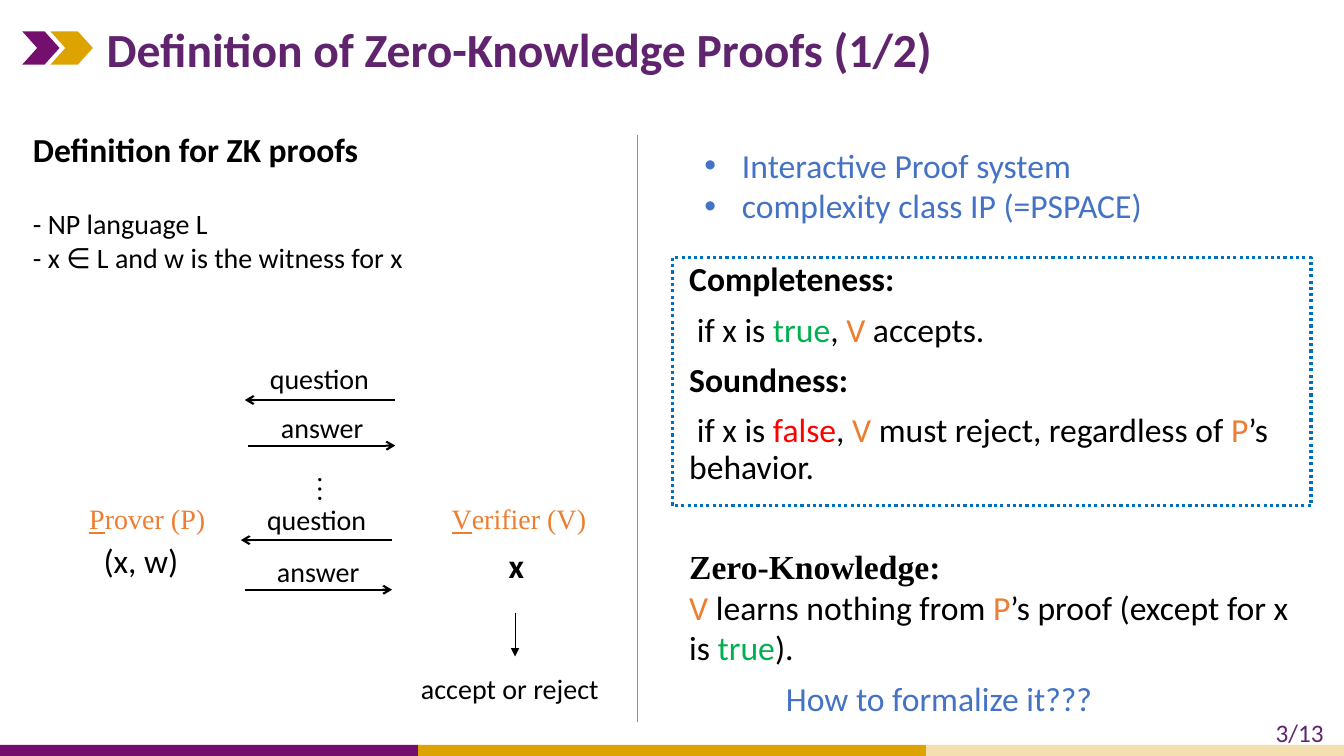
from lxml.etree import SubElement
from pptx import Presentation
from pptx.dml.color import RGBColor
from pptx.enum.dml import MSO_LINE
from pptx.enum.shapes import MSO_CONNECTOR, MSO_SHAPE
from pptx.enum.text import MSO_ANCHOR, PP_ALIGN
from pptx.oxml.ns import qn
from pptx.util import Cm, Pt

COLORS = {
    "purple": "750F6D", "gold": "DDA300", "cream": "F4DFB0",
    "heading": "5F246D", "black": "000000", "orange": "ED7D31",
    "green": "00B050", "red": "FF0000", "blue": "4472C4",
    "frame": "0070C0", "divider": "5B9BD5",
}
SANS, SERIF = "Calibri", "Times New Roman"


class SlideBuilder:
    """Draw styled elements on the current slide, with lengths in centimetres."""

    def __init__(self, page):
        self.page = page

    def color(self, name):
        return RGBColor.from_string(COLORS[name])

    def style(self, span, size=20, color="black", font=SANS, bold=False, underline=False):
        span.font.size = Pt(size)
        span.font.name = font
        span.font.bold = bold
        span.font.underline = underline
        span.font.color.rgb = self.color(color)

    def box(self, left, top, width, height, wrap=True):
        box = self.page.shapes.add_textbox(Cm(left), Cm(top), Cm(width), Cm(height))
        box.text_frame.word_wrap = wrap
        return box.text_frame

    def text(self, place, text, align=PP_ALIGN.LEFT, wrap=True, **style):
        frame = self.box(*place, wrap=wrap)
        frame.text = text
        for paragraph in frame.paragraphs:
            paragraph.alignment = align
            for span in paragraph.runs:
                self.style(span, **style)
        return frame

    def rich_text(self, place, lines, spacing=None, before=0, **style):
        frame = self.box(*place)
        for index, line in enumerate(lines):
            paragraph = frame.add_paragraph() if index else frame.paragraphs[0]
            paragraph.line_spacing = spacing
            paragraph.space_before = Pt(before if index else 0)
            for words, changes in line:
                span = paragraph.add_run()
                span.text = words
                self.style(span, **{**style, **changes})

    def bullets(self, place, text, indent, **style):
        frame = self.text(place, text, **style)
        for paragraph in frame.paragraphs:
            properties = paragraph._p.get_or_add_pPr()
            properties.set("marL", str(Cm(indent)))
            properties.set("indent", str(-Cm(indent)))
            SubElement(properties, qn("a:buFont")).set("typeface", "Arial")
            SubElement(properties, qn("a:buChar")).set("char", "•")

    def shape(self, kind, left, top, width, height, fill):
        shape = self.page.shapes.add_shape(kind, Cm(left), Cm(top), Cm(width), Cm(height))
        shape.shadow.inherit = False
        shape.line.fill.background()
        if fill:
            shape.fill.solid()
            shape.fill.fore_color.rgb = self.color(fill)
        else:
            shape.fill.background()
        return shape

    def frame(self, left, top, width, height, color):
        shape = self.shape(MSO_SHAPE.RECTANGLE, left, top, width, height, None)
        shape.line.color.rgb = self.color(color)
        shape.line.width = Pt(2.25)
        shape.line.dash_style = MSO_LINE.ROUND_DOT

    def line(self, start, end, width, color="black", arrow=None):
        line = self.page.shapes.add_connector(
            MSO_CONNECTOR.STRAIGHT, *(Cm(value) for value in start + end))
        line.line.color.rgb = self.color(color)
        line.line.width = Pt(width)
        if arrow:
            SubElement(line.line._get_or_add_ln(), qn("a:tailEnd")).set("type", arrow)
        SubElement(line._element.spPr, qn("a:effectLst"))


def add_decoration(slide):
    left = 0
    for width, fill in ((10.54, "purple"), (12.8, "gold"), (10.53, "cream")):
        slide.shape(MSO_SHAPE.RECTANGLE, left, 18.77, width, 0.28, fill)
        left += width
    for left, width, fill in ((0.56, 0.94, "purple"), (1.27, 1.07, "gold")):
        chevron = slide.shape(MSO_SHAPE.CHEVRON, left, 0.79, width, 0.84, fill)
        chevron.adjustments[0] = 0.45
    slide.text((31.9, 17.96, 1.95, 1.02), "3/13", size=18, color="heading")
    title = slide.text((2.44, 0.3, 28.47, 1.85), "Definition of Zero-Knowledge Proofs (1/2)",
                       size=34, color="heading", bold=True)
    title.vertical_anchor = MSO_ANCHOR.MIDDLE
    slide.line((16.05, 3.4), (16.05, 18.19), 0.5, "divider")


def add_protocol(slide):
    slide.text((0.58, 3.12, 15.21, 1.27), "Definition for ZK proofs", size=24, bold=True)
    slide.text((0.58, 5.08, 15.21, 1.96),
               "- NP language L\n- x ∈ L and w is the witness for x")
    for left, initial, rest in ((2, "P", "rover (P)"), (11.13, "V", "erifier (V)")):
        slide.rich_text((left, 12.52, 5, 1.12), [[(initial, {"underline": True}), (rest, {})]],
                        font=SERIF, color="orange")
    slide.text((2.36, 13.49, 3.15, 1.27), "(x, w)", size=24)
    slide.text((12.57, 13.61, 0.91, 1.27), "x", size=24, bold=True)

    messages = (
        ("question", 6.55, 8.99, 9.96, 6.17, 10.08),
        ("answer", 6.83, 10.21, 6.25, 9.96, 11.23),
        ("question", 6.48, 12.55, 9.88, 6.07, 13.61),
        ("answer", 6.73, 13.84, 6.17, 9.88, 14.86),
    )
    for label, left, top, start, end, level in messages:
        slide.text((left, top, 3.25, 1.12), label)
        slide.line((start, level), (end, level), 1.5, arrow="arrow")
    dots = slide.text((7.49, 11.73, 1.37, 1.68), "…", font=SERIF)
    dots._txBody.bodyPr.set("vert", "eaVert")
    slide.line((12.98, 15.44), (12.98, 16.54), 0.5, arrow="triangle")
    slide.text((10.36, 16.79, 5.44, 1.12), "accept or reject")


def add_properties(slide):
    bold, orange = {"bold": True}, {"color": "orange"}
    green, red = {"color": "green"}, {"color": "red"}
    slide.bullets((17.5, 3.53, 12.32, 2.31),
                  "Interactive Proof system\ncomplexity class IP (=PSPACE)",
                  0.95, size=24, color="blue")
    slide.frame(16.94, 6.5, 16.1, 6.25, "frame")
    slide.rich_text((17.12, 6.5, 15.54, 6.6), [
        [("Completeness:", bold)],
        [(" if x is ", {}), ("true", green), (", ", {}), ("V ", orange), ("accepts.", {})],
        [("Soundness:", bold)],
        [(" if x is ", {}), ("false", red), (", ", {}), ("V", orange),
         (" must reject, regardless of ", {}), ("P", orange), ("’s behavior.", {})],
    ], spacing=0.9, before=10, size=24)
    slide.rich_text((17.12, 13.64, 16.1, 3.33), [
        [("Zero-Knowledge:", {"font": SERIF, "bold": True})],
        [("V ", orange), ("learns nothing from ", {}), ("P", orange),
         ("’s proof (except for x is ", {}), ("true", green), (").", {})],
    ], size=24)
    slide.text((19.51, 16.97, 8.31, 1.27), "How to formalize it???",
               align=PP_ALIGN.CENTER, wrap=False, size=24, color="blue")


def main():
    deck = Presentation()
    deck.slide_width, deck.slide_height = Cm(33.87), Cm(19.05)
    slide = SlideBuilder(deck.slides.add_slide(deck.slide_layouts[6]))
    add_decoration(slide)
    add_protocol(slide)
    add_properties(slide)
    deck.save("out.pptx")


if __name__ == "__main__":
    main()
